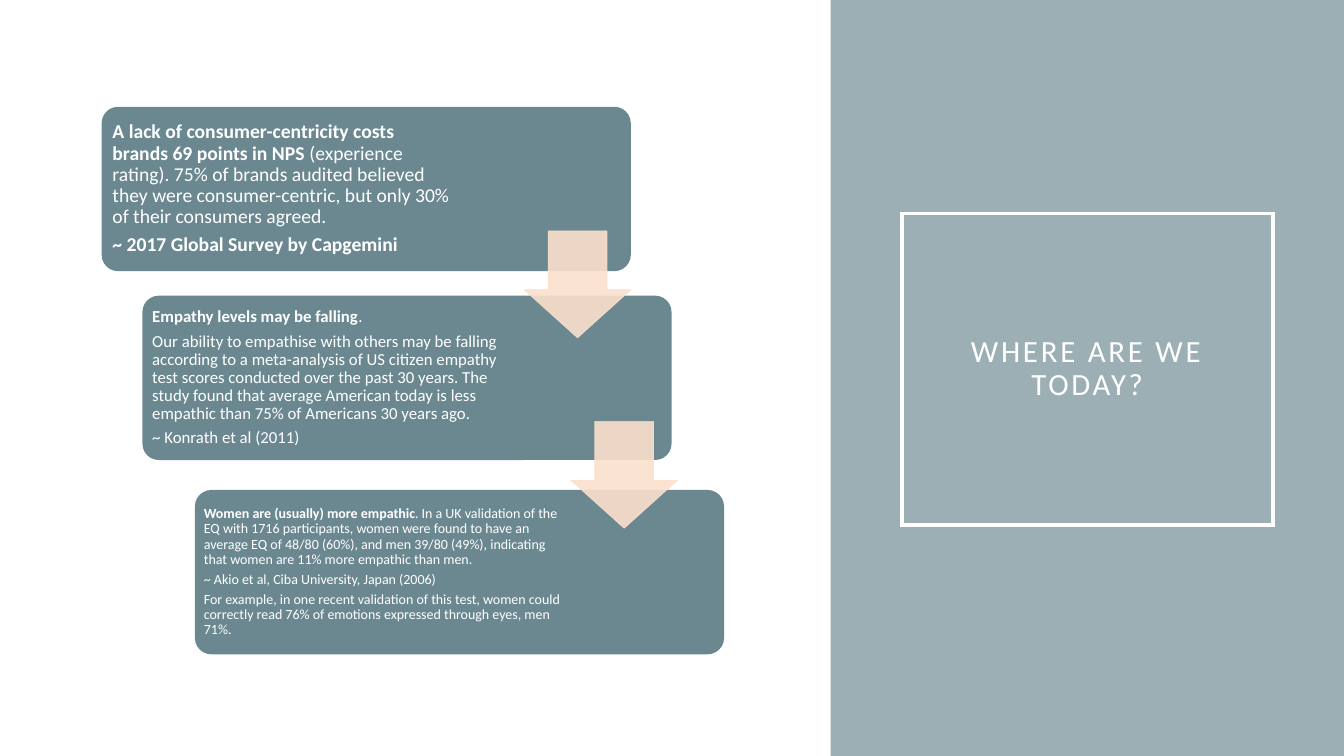
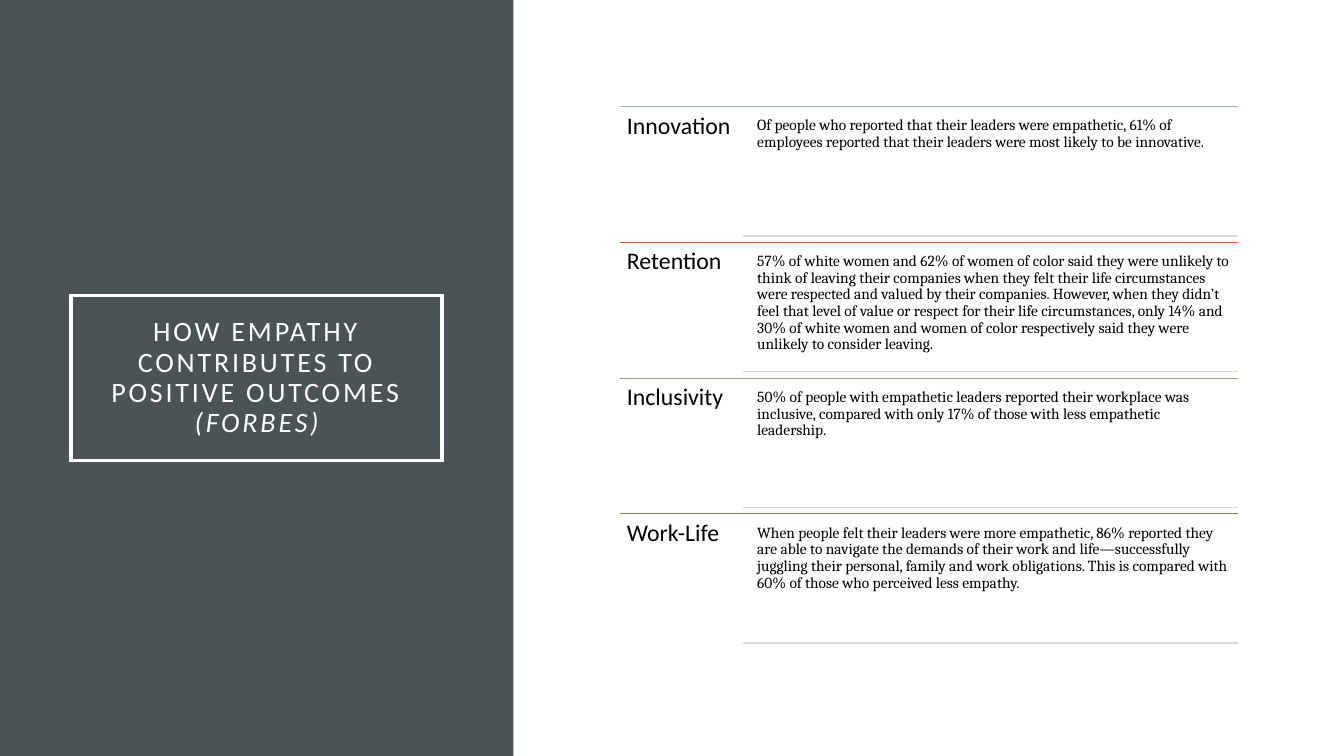
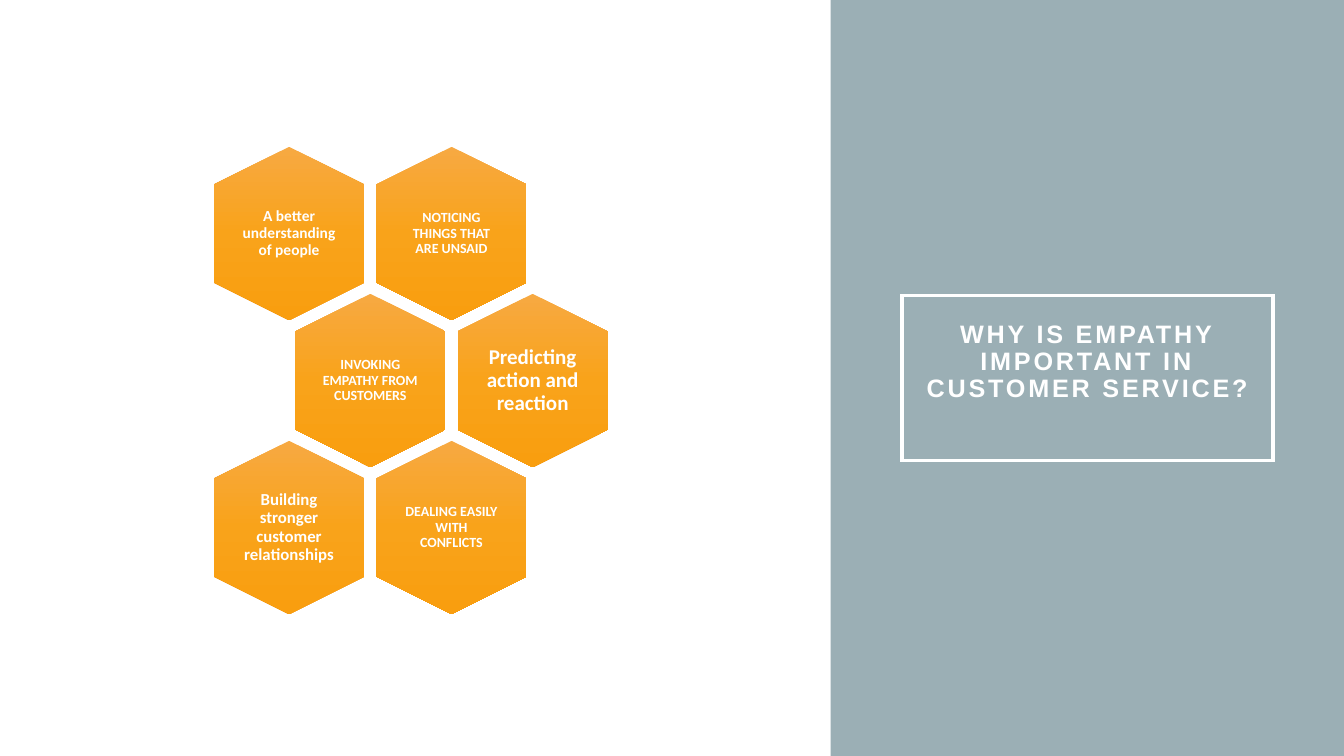
from dataclasses import dataclass

from lxml.etree import SubElement
from pptx import Presentation
from pptx.dml.color import RGBColor
from pptx.enum.shapes import MSO_CONNECTOR, MSO_SHAPE
from pptx.enum.text import MSO_ANCHOR, PP_ALIGN
from pptx.oxml import parse_xml
from pptx.oxml.ns import nsdecls, qn
from pptx.util import Pt


@dataclass(frozen=True)
class Theme:
    white: str = "FFFFFF"
    black: str = "000000"
    mist: str = "9BAFB5"
    slate: str = "4A5356"
    card: str = "6B8891"
    peach: str = "FBE0CD"
    rule: str = "D5DCDE"
    accents: tuple = ("9BAFB5", "C96731", "9CA383", "87795D")
    hexagon_stops: tuple = ((0, "F7A942"), (50, "F9A31A"), (100, "F99E0F"))
    sans: str = "Calibri"
    serif: str = "Cambria"
    plain: str = "Arial"
    heading: int = 17
    detail: int = 11
    line_spacing: float = 0.9
    gap_ratio: float = 0.35


THEME = Theme()
SLIDE_WIDTH, SLIDE_HEIGHT = 960, 540
PANEL_WIDTH = 366.7
TITLE_WIDTH = 265
LINE_BREAK = ("\n", "")

CARDS = [
    (72.6, 76.3, 14, 4.3, 124, [
        [("A lack of consumer-centricity costs brands 69 points in NPS ", "b"),
         ("(experience rating). 75% of brands audited believed they were consumer-centric, "
          "but only 30% of their consumers agreed.", "")],
        [("~ 2017 Global Survey by Capgemini", "b")],
    ]),
    (101.7, 211.2, 12, 3.6, 113.4, [
        [("Empathy levels may be falling", "b"), (".", "")],
        [("Our ability to empathise with others may be falling according to a meta-analysis "
          "of US citizen empathy test scores conducted over the past 30 years. The study found "
          "that average American today is less empathic than 75% of Americans 30 years ago.", "")],
        [("~ Konrath et al (2011)", "")],
    ]),
    (139.2, 350, 10, 3, 112.7, [
        [("Women are (usually) more empathic", "b"),
         (". In a UK validation of the EQ with 1716 participants, women were found to have an "
          "average EQ of 48/80 (60%), and men 39/80 (49%), indicating that women are 11% more "
          "empathic than men.", "")],
        [("~ Akio et al, Ciba University, Japan (2006)", "")],
        [("For example, in one recent validation of this test, women could correctly read 76% "
          "of emotions expressed through eyes, men 71%.", "")],
    ]),
]
ARROWS = [(374.4, 165), (407.7, 301)]

OUTCOMES = [
    ("Innovation",
     "Of people who reported that their leaders were empathetic, 61% of employees reported "
     "that their leaders were most likely to be innovative."),
    ("Retention",
     "57% of white women and 62% of women of color said they were unlikely to think of leaving "
     "their companies when they felt their life circumstances were respected and valued by "
     "their companies. However, when they didn’t feel that level of value or respect for their "
     "life circumstances, only 14% and 30% of white women and women of color respectively said "
     "they were unlikely to consider leaving."),
    ("Inclusivity",
     "50% of people with empathetic leaders reported their workplace was inclusive, compared "
     "with only 17% of those with less empathetic leadership."),
    ("Work-Life",
     "When people felt their leaders were more empathetic, 86% reported they are able to "
     "navigate the demands of their work and life—successfully juggling their personal, family "
     "and work obligations. This is compared with 60% of those who perceived less empathy."),
]

REASONS = [
    [("A better understanding of people", 11, 0), ("NOTICING THINGS THAT ARE UNSAID", 10, 3)],
    [("INVOKING EMPATHY FROM CUSTOMERS", 10, 3), ("Predicting action and reaction", 15, 0)],
    [("Building stronger customer relationships", 12, 0), ("DEALING EASILY WITH CONFLICTS", 10, 3)],
]


def rgb(color):
    return RGBColor.from_string(color)


def add_preset(slide, preset, left, top, width, height, fill=None):
    shape = slide.shapes.add_shape(preset, Pt(left), Pt(top), Pt(width), Pt(height))
    shape.shadow.inherit = False
    shape.line.fill.background()
    if fill:
        shape.fill.solid()
        shape.fill.fore_color.rgb = rgb(fill)
    else:
        shape.fill.background()
    return shape


def set_frame(shape, margins, anchor=MSO_ANCHOR.MIDDLE):
    frame = shape.text_frame
    frame.word_wrap = True
    frame.vertical_anchor = anchor
    left, top, right, bottom = margins
    frame.margin_left, frame.margin_top = Pt(left), Pt(top)
    frame.margin_right, frame.margin_bottom = Pt(right), Pt(bottom)
    return frame


def write(frame, paragraphs, face, size, color, align=PP_ALIGN.LEFT, gap=None, tracking=0):
    for index, pieces in enumerate(paragraphs):
        paragraph = frame.paragraphs[0] if index == 0 else frame.add_paragraph()
        paragraph.alignment = align
        paragraph.line_spacing = THEME.line_spacing
        paragraph.space_after = Pt(round(THEME.gap_ratio * size, 1) if gap is None else gap)
        font = paragraph.font
        font.name, font.size, font.color.rgb = face, Pt(size), rgb(color)
        styles = {style for _, style in pieces}
        if styles == {"b"}:
            font.bold = True
        for piece in pieces:
            if piece == LINE_BREAK:
                paragraph.add_line_break()
                continue
            text, style = piece
            run = paragraph.add_run()
            run.text = text
            if len(styles) > 1:
                run.font.bold = style == "b"
                run.font.italic = style == "i"
            if tracking:
                run._r.get_or_add_rPr().set("spc", str(tracking * 100))


def add_text(slide, left, top, width, height, margin, anchor, text, style, **format_options):
    box = slide.shapes.add_textbox(Pt(left), Pt(top), Pt(width), Pt(height))
    write(set_frame(box, (margin,) * 4, anchor), [[(text, style)]], **format_options)


def add_rule(slide, left, right, y, color, weight):
    rule = slide.shapes.add_connector(MSO_CONNECTOR.STRAIGHT, Pt(left), Pt(y), Pt(right), Pt(y))
    rule.line.color.rgb = rgb(color)
    rule.line.width = Pt(weight)
    SubElement(rule._element.spPr, qn("a:effectLst"))


def add_title_panel(slide, panel_left, fill, pieces, size, face=THEME.sans,
                    top=211, height=118, bottom_margin=14.4):
    add_preset(slide, MSO_SHAPE.RECTANGLE, panel_left, 0, PANEL_WIDTH, SLIDE_HEIGHT, fill)
    title_left = panel_left + (PANEL_WIDTH - TITLE_WIDTH) / 2
    title = add_preset(slide, MSO_SHAPE.RECTANGLE, title_left, top, TITLE_WIDTH, height)
    title.line.color.rgb = rgb(THEME.white)
    title.line.width = Pt(2.5)
    outline = title._element.spPr.find(qn("a:ln"))
    SubElement(outline, qn("a:miter")).set("lim", "800000")
    frame = set_frame(title, (14.4, 14.4, 14.4, bottom_margin))
    write(frame, [pieces], face, size, THEME.white, PP_ALIGN.CENTER, gap=0, tracking=2)


def add_card(slide, left, top, size, margin, right_margin, paragraphs):
    card = add_preset(slide, MSO_SHAPE.ROUNDED_RECTANGLE, left, top, 378, 117.4, THEME.card)
    card.adjustments[0] = 0.1
    frame = set_frame(card, (margin, margin, right_margin, margin))
    write(frame, paragraphs, THEME.sans, size, THEME.white)


def add_arrow(slide, left, top):
    arrow = add_preset(slide, MSO_SHAPE.DOWN_ARROW, left, top, 76.3, 76.3, THEME.peach)
    arrow.adjustments[0], arrow.adjustments[1] = 0.55, 0.45
    arrow.line.color.rgb = rgb(THEME.peach)
    arrow.line.width = Pt(0.5)
    for color in arrow._element.spPr.iter(qn("a:srgbClr")):
        SubElement(color, qn("a:alpha")).set("val", "90000")


def add_outcome(slide, top, accent, heading, detail):
    left, detail_left, right = 442.8, 530.8, 884
    add_rule(slide, left, right, top, accent, 0.5)
    add_text(slide, left, top, 88.3, 97, 5, MSO_ANCHOR.TOP, heading, "",
             face=THEME.sans, size=THEME.heading, color=THEME.black)
    add_text(slide, detail_left + 6.5, top + 4.4, 346.5, 88, 3.6, MSO_ANCHOR.TOP, detail, "",
             face=THEME.serif, size=THEME.detail, color=THEME.black)
    add_rule(slide, detail_left, right, top + 92.4, THEME.rule, 1)


def add_hexagon(slide, center_x, center_y, text, size, margin):
    length, breadth = 123.8, 107.3
    hexagon = add_preset(slide, MSO_SHAPE.HEXAGON, center_x - length / 2,
                         center_y - breadth / 2, length, breadth)
    hexagon.rotation = 90
    stops = "".join(f'<a:gs pos="{position * 1000}"><a:srgbClr val="{color}"/></a:gs>'
                    for position, color in THEME.hexagon_stops)
    gradient = parse_xml(f'<a:gradFill {nsdecls("a")} rotWithShape="0"><a:gsLst>{stops}</a:gsLst>'
                         '<a:lin ang="5400000" scaled="0"/></a:gradFill>')
    properties = hexagon._element.spPr
    properties.replace(properties.find(qn("a:noFill")), gradient)
    width, height = 74.2, 85
    add_text(slide, center_x - width / 2, center_y - height / 2, width, height, margin,
             MSO_ANCHOR.MIDDLE, text, "b", face=THEME.sans, size=size,
             color=THEME.white, align=PP_ALIGN.CENTER)


def build_today(slide):
    add_title_panel(slide, SLIDE_WIDTH - PANEL_WIDTH, THEME.mist,
                    [("WHERE ARE WE TODAY?", "")], 22, top=152.6, height=222.5)
    for card in CARDS:
        add_card(slide, *card)
    for arrow in ARROWS:
        add_arrow(slide, *arrow)


def build_outcomes(slide):
    title = [("HOW EMPATHY CONTRIBUTES TO POSITIVE OUTCOMES", ""), LINE_BREAK, ("(FORBES)", "i")]
    add_title_panel(slide, 0, THEME.slate, title, 20)
    for row, (accent, outcome) in enumerate(zip(THEME.accents, OUTCOMES)):
        add_outcome(slide, 76.1 + row * 96.95, accent, *outcome)


def build_reasons(slide):
    add_title_panel(slide, SLIDE_WIDTH - PANEL_WIDTH, THEME.mist,
                    [("WHY IS EMPATHY IMPORTANT IN CUSTOMER SERVICE?", "b")], 18,
                    face=THEME.plain, bottom_margin=37)
    column_pitch, row_pitch = 116, 105
    for row, reasons in enumerate(REASONS):
        for column, reason in enumerate(reasons):
            center_x = 206.5 + (column + row % 2 / 2) * column_pitch
            add_hexagon(slide, center_x, 166.8 + row * row_pitch, *reason)


def main():
    deck = Presentation()
    deck.slide_width, deck.slide_height = Pt(SLIDE_WIDTH), Pt(SLIDE_HEIGHT)
    for build in (build_today, build_outcomes, build_reasons):
        build(deck.slides.add_slide(deck.slide_layouts[6]))
    deck.save("out.pptx")


if __name__ == "__main__":
    main()
